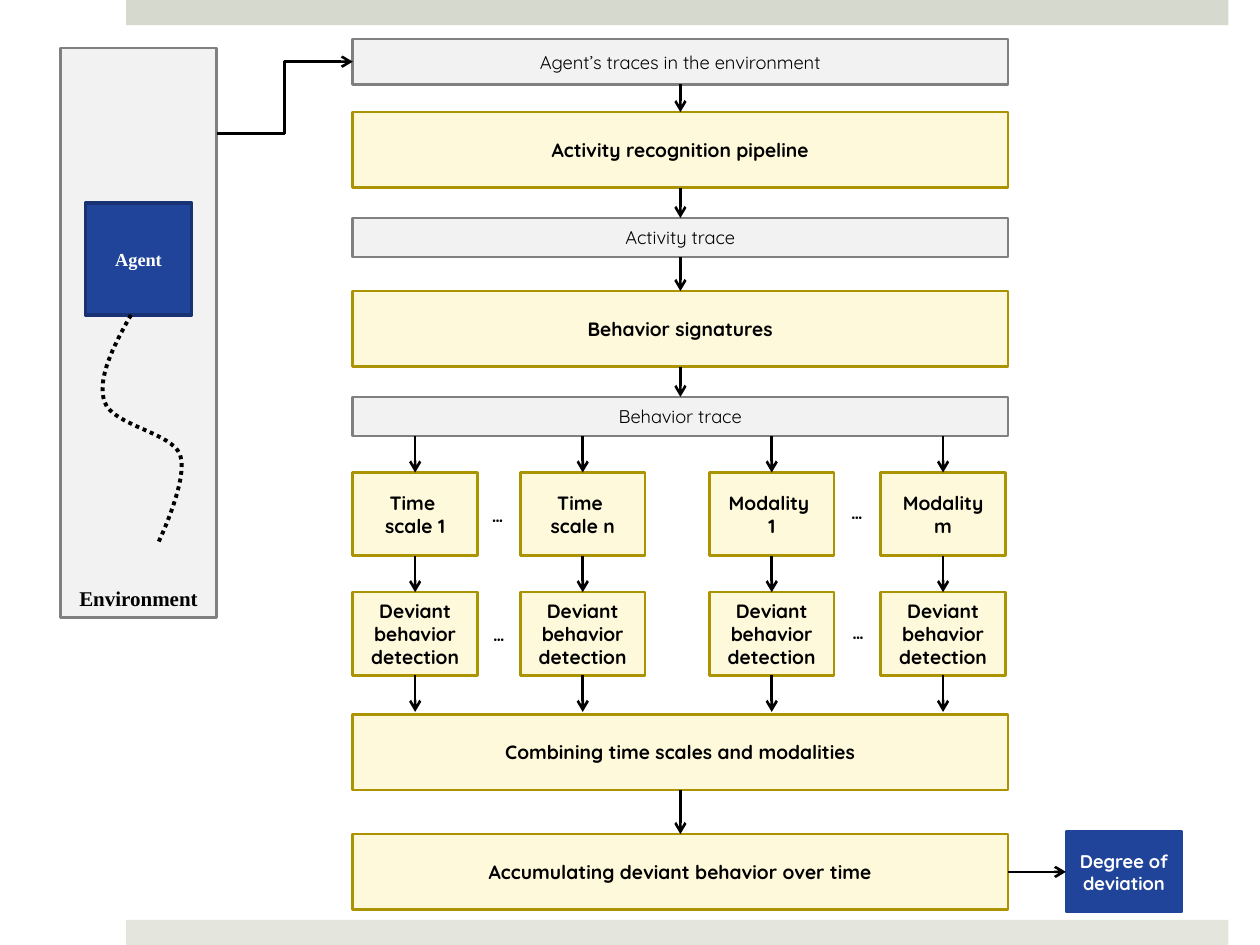
from lxml import etree
from pptx import Presentation
from pptx.dml.color import RGBColor
from pptx.enum import dml, shapes, text
from pptx.oxml import ns
from pptx.util import Inches, Pt

COLORS = {
    "top band": "D6D9CD", "bottom band": "E4E6DE",
    "data": "F2F2F2", "data edge": "808080",
    "step": "FEE658", "step edge": "AB9301",
    "blue": "21449B", "agent edge": "183273",
    "black": "000000", "white": "FFFFFF",
}
TOP, LEFT, BOTTOM, RIGHT = range(4)


def rgb(name):
    return RGBColor.from_string(COLORS[name])


def write(shape, words, size=10.5, bold=False, color="black", font="Quicksand",
          anchor=text.MSO_ANCHOR.MIDDLE):
    frame = shape.text_frame
    frame.word_wrap = True
    frame.vertical_anchor = anchor
    frame.text = words
    for paragraph in frame.paragraphs:
        paragraph.alignment = text.PP_ALIGN.CENTER
        paragraph.font.size = Pt(size)
        paragraph.font.bold = bold
        paragraph.font.name = font
        paragraph.font.color.rgb = rgb(color)


def add_box(slide, box, fill, edge=None, width=1.5, opacity=None):
    """Add a rectangle at box = (left, top, width, height) in inches."""
    shape = slide.shapes.add_shape(shapes.MSO_SHAPE.RECTANGLE, *map(Inches, box))
    shape.shadow.inherit = False
    shape.fill.solid()
    shape.fill.fore_color.rgb = rgb(fill)
    if opacity:
        color = shape.fill._xPr.find(".//" + ns.qn("a:srgbClr"))
        etree.SubElement(color, ns.qn("a:alpha"), val=str(opacity * 1000))
    if edge:
        shape.line.color.rgb = rgb(edge)
        shape.line.width = Pt(width)
    else:
        shape.line.fill.background()
    return shape


def add_data(slide, box, words):
    shape = add_box(slide, box, "data", "data edge")
    write(shape, words)
    return shape


def add_step(slide, box, words):
    shape = add_box(slide, box, "step", "step edge", opacity=22)
    write(shape, words, size=11, bold=True)
    return shape


def add_arrow(slide, start, end, begin=None, finish=None,
              kind=shapes.MSO_CONNECTOR.STRAIGHT):
    """Draw an arrow; begin and finish are (shape, side) pairs to join."""
    arrow = slide.shapes.add_connector(kind, *map(Inches, (*start, *end)))
    if begin:
        arrow.begin_connect(*begin)
    if finish:
        arrow.end_connect(*finish)
    arrow.line.color.rgb = rgb("black")
    arrow.line.width = Pt(1.5)
    etree.SubElement(arrow.line._get_or_add_ln(), ns.qn("a:tailEnd"), type="arrow")
    etree.SubElement(arrow._element.spPr, ns.qn("a:effectLst"))


def join(slide, source, source_side, target, target_side):
    add_arrow(slide, (0, 0), (0, 0), (source, source_side), (target, target_side))


def curve_points(start, curves, steps=16):
    """Yield points along a chain of cubic Bézier curves."""
    for a, b, end in curves:
        for step in range(1, steps + 1):
            t = step / steps
            yield tuple(
                (1 - t) ** 3 * p + 3 * t * (1 - t) ** 2 * q
                + 3 * t ** 2 * (1 - t) * r + t ** 3 * s
                for p, q, r, s in zip(start, a, b, end))
        start = end


def add_trail(slide, left, top):
    """Add the agent's dotted trail, starting at the given point."""
    curves = [[(-0.14, 0.25), (-0.27, 0.5), (-0.21, 0.69)],
              [(-0.14, 0.88), (0.32, 0.93), (0.39, 1.11)],
              [(0.46, 1.3), (0.22, 1.8), (0.22, 1.8)]]
    points = [(Inches(left + x), Inches(top + y))
              for x, y in curve_points((0, 0), curves)]
    builder = slide.shapes.build_freeform(Inches(left), Inches(top))
    builder.add_line_segments(points, close=False)
    trail = builder.convert_to_shape()
    trail.shadow.inherit = False
    trail.fill.background()
    trail.line.color.rgb = rgb("black")
    trail.line.width = Pt(2.25)
    trail.line.dash_style = dml.MSO_LINE.ROUND_DOT


def add_environment(slide, box):
    left, top, width, _ = box
    environment = add_box(slide, box, "data", "data edge")
    write(environment, "Environment", size=12, bold=True, font="Times New Roman",
          anchor=text.MSO_ANCHOR.BOTTOM)

    agent_width, agent_height = 0.84, 0.89
    agent_top = top + 1.23
    agent = add_box(slide, (left + (width - agent_width) / 2, agent_top,
                            agent_width, agent_height), "blue", "agent edge", width=2)
    write(agent, "Agent", bold=True, color="white", font="Times New Roman")
    add_trail(slide, left + 0.56, agent_top + agent_height)


def add_branches(slide, box, behavior_trace):
    """Add the parallel scale and modality columns with their detectors."""
    left, top, _, height = box
    cell_width, cell_height, row_pitch, arrow_length = 0.99, 0.66, 0.95, 0.29
    columns = [(0, "Time \vscale 1"), (1.33, "Time \vscale n"),
               (2.83, "Modality \n1"), (4.19, "Modality m")]
    for offset, words in columns:
        x = left + offset
        center = x + cell_width / 2
        scale = add_step(slide, (x, top, cell_width, cell_height), words)
        detector = add_step(slide, (x, top + row_pitch, cell_width, cell_height),
                            "Deviant behavior detection")
        add_arrow(slide, (center, (behavior_trace.top + behavior_trace.height) / Inches(1)),
                  (center, top), finish=(scale, TOP))
        join(slide, scale, BOTTOM, detector, TOP)
        add_arrow(slide, (center, top + height),
                  (center, top + height + arrow_length), begin=(detector, BOTTOM))

    for x, y in [(0.98, 0.2), (3.83, 0.18)]:
        for row in range(2):
            dots = slide.shapes.add_textbox(
                Inches(left + x + row * 0.01), Inches(top + y + row * row_pitch),
                Inches(0.34), Inches(0.27))
            write(dots, "…", bold=True)


def add_pipeline(slide, box):
    """Add the main column and return its first and last boxes."""
    left, top, width, _ = box
    rows = [
        (add_data, 0, 0.36, "Agent’s traces in the environment"),
        (add_step, 0.58, 0.6, "Activity recognition pipeline"),
        (add_data, 1.42, 0.31, "Activity trace"),
        (add_step, 2, 0.6, "Behavior signatures"),
        (add_data, 2.84, 0.31, "Behavior trace"),
        (add_step, 5.36, 0.6, "Combining time scales and modalities"),
        (add_step, 6.31, 0.6, "Accumulating deviant behavior over time"),
    ]
    stages = [add(slide, (left, top + y, width, height), words)
              for add, y, height, words in rows]
    behavior_trace, combining = stages[4:6]
    for upper, lower in zip(stages, stages[1:]):
        if lower is not combining:
            join(slide, upper, BOTTOM, lower, TOP)
    add_branches(slide, (left, top + 3.44, width, 1.61), behavior_trace)
    return stages[0], stages[-1]


def main():
    deck = Presentation()
    deck.slide_width, deck.slide_height = Inches(10), Inches(7.5)
    slide = deck.slides.add_slide(deck.slide_layouts[6])

    add_box(slide, (1, 0, 8.75, 0.2), "top band")
    add_box(slide, (1, 7.3, 8.75, 0.2), "bottom band")
    add_environment(slide, (0.48, 0.38, 1.24, 4.52))
    agent_traces, accumulating = add_pipeline(slide, (2.8, 0.31, 5.2, 6.91))
    add_arrow(slide, (1.72, 1.06), (2.8, 0.49), finish=(agent_traces, LEFT),
              kind=shapes.MSO_CONNECTOR.ELBOW)

    degree = add_box(slide, (8.46, 6.6, 0.92, 0.64), "blue", "blue")
    write(degree, "Degree of deviation", bold=True, color="white")
    join(slide, accumulating, RIGHT, degree, LEFT)

    deck.save("out.pptx")


if __name__ == "__main__":
    main()
